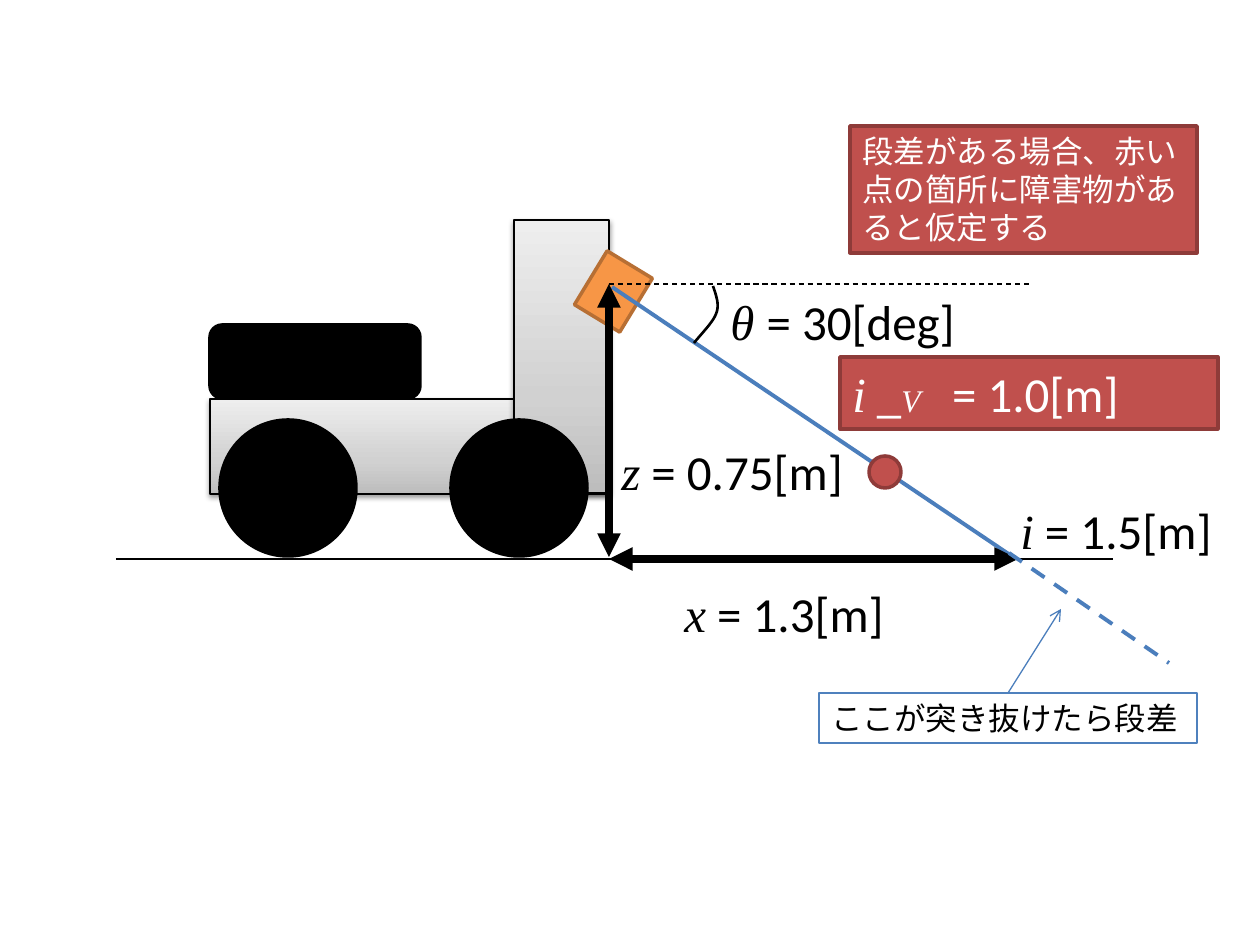
"""Draw a wheeled robot whose tilted range sensor detects a step in the floor."""
from copy import deepcopy

from pptx import Presentation
from pptx.dml.color import RGBColor
from pptx.enum.dml import MSO_LINE_DASH_STYLE as Dash
from pptx.enum.shapes import MSO_CONNECTOR as Connector, MSO_SHAPE as Preset
from pptx.enum.text import MSO_ANCHOR as Anchor, MSO_AUTO_SIZE as AutoSize, PP_ALIGN as Align
from pptx.oxml import parse_xml
from pptx.oxml.ns import nsdecls, qn
from pptx.util import Inches, Pt

PX = Inches(1) / 126
BLACK, WHITE = RGBColor(0, 0, 0), RGBColor(255, 255, 255)
RED, DARK_RED = RGBColor(0xC0, 0x50, 0x4D), RGBColor(0x8E, 0x3B, 0x39)
ORANGE, BROWN = RGBColor(0xF7, 0x96, 0x46), RGBColor(0xB7, 0x6F, 0x34)
BLUE, BORDER_BLUE = RGBColor(0x4B, 0x7E, 0xBC), RGBColor(0x4F, 0x81, 0xBD)
GREYS = [(0, RGBColor(0xBD, 0xBD, 0xBD)), (0.35, RGBColor(0xD1, 0xD1, 0xD1)),
         (1, RGBColor(0xEE, 0xEE, 0xEE))]
SANS, SERIF = "Calibri", "Times New Roman"

CHASSIS = [(210, 399, 399, 95), (514, 220, 95, 273)]
PARTS = [
    (Preset.OVAL, (220, 420, 136, 136), BLACK, BLACK, 0),
    (Preset.OVAL, (451, 420, 136, 136), BLACK, BLACK, 0),
    (Preset.RECTANGLE, (582, 265, 63, 53), ORANGE, BROWN, 301.3),
    (Preset.ROUNDED_RECTANGLE, (210, 325, 210, 73), BLACK, BLACK, 0),
]
LINES = [
    ((612, 287), (1016, 559), BLUE, 2.25, None, None, None),
    ((609, 284), (1033, 284), BLACK, 0.75, Dash.DASH, None, None),
    ((116, 559), (1113, 559), BLACK, 0.75, None, None, None),
    ((609, 557), (609, 284), BLACK, 4.5, None, "triangle", "triangle"),
    ((609, 559), (1018, 559), BLACK, 4.5, None, "triangle", "triangle"),
    ((1008, 693), (1061, 609), BLUE, 0.75, None, None, "arrow"),
    ((1009, 553), (1169, 663), BLUE, 2.25, Dash.DASH, None, None),
]
ANGLE_CURVES = [
    [(713, 286), (716, 295), (720, 305), (716, 314)],
    [(716, 314), (713, 322), (703, 332), (694, 343)],
]
LABELS = [
    ((718, 285, 280, 72), "θ ", "= 30[deg]"),
    ((609, 435, 252, 72), "z", " = 0.75[m]"),
    ((1008, 494, 252, 72), "i", " = 1.5[m]"),
    ((672, 577, 252, 72), "x", " = 1.3[m]"),
]
OBSTACLE = (Preset.OVAL, (869, 456, 32, 32), RED, DARK_RED, 0)
NOTES = [
    ((840, 357, 378, 72), RED, DARK_RED, 2, WHITE,
     [("i", 28, SERIF), (" _", 28, SANS), ("V\u3000", 18, SERIF), ("= 1.0[m]", 28, SANS)]),
    ((850, 126, 347, 127), RED, DARK_RED, 2, WHITE,
     [("段差がある場合、赤い点の箇所に障害物があると仮定する", 18, SANS)]),
    ((819, 693, 378, 50), None, BORDER_BLUE, 0.75, BLACK,
     [("ここが突き抜けたら段差", 18, SANS)]),
]


def emu(lengths):
    return [round(length * PX) for length in lengths]


def style(shape, fill, line, width):
    shape.shadow.inherit = False
    if fill is None:
        shape.fill.background()
    else:
        shape.fill.solid()
        shape.fill.fore_color.rgb = fill
    shape.line.color.rgb = line
    shape.line.width = Pt(width)


def add_part(page, preset, place, fill, line, turn=0, width=2):
    shape = page.shapes.add_shape(preset, *emu(place))
    shape.rotation = turn
    style(shape, fill, line, width)
    return shape


def add_chassis(page, place):
    shape = add_part(page, Preset.RECTANGLE, place, WHITE, BLACK, width=0.75)
    shape.fill.gradient()
    shape.fill.gradient_angle = 90
    props = shape.element.spPr
    stop_list = props.find(".//" + qn("a:gsLst"))
    stop_list.insert(1, deepcopy(stop_list[0]))
    for stop, (position, grey) in zip(shape.fill.gradient_stops, GREYS):
        stop.position = position
        stop.color.rgb = grey
    props.find(qn("a:effectLst")).append(parse_xml(
        f'<a:outerShdw {nsdecls("a")} blurRad="{Pt(3.1)}" dist="{Pt(1.6)}" dir="5400000" '
        'rotWithShape="0"><a:srgbClr val="000000"><a:alpha val="38000"/></a:srgbClr>'
        '</a:outerShdw>'))


def add_line(page, start, end, colour, width, dash, head, tail):
    line = page.shapes.add_connector(Connector.STRAIGHT, *emu(start + end))
    line.line.color.rgb = colour
    line.line.width = Pt(width)
    if dash:
        line.line.dash_style = dash
    props = line.element.spPr
    for tag, kind in (("headEnd", head), ("tailEnd", tail)):
        if kind:
            props.find(qn("a:ln")).append(parse_xml(f'<a:{tag} {nsdecls("a")} type="{kind}"/>'))
    props.append(parse_xml(f'<a:effectLst {nsdecls("a")}/>'))


def curve_points(curve, steps=12):
    for step in range(steps + 1):
        t = step / steps
        weights = [(1 - t) ** 3, 3 * t * (1 - t) ** 2, 3 * t ** 2 * (1 - t), t ** 3]
        yield emu(sum(w * v for w, v in zip(weights, axis)) for axis in zip(*curve))


def add_angle(page):
    points = [point for curve in ANGLE_CURVES for point in curve_points(curve)]
    builder = page.shapes.build_freeform(*points[0])
    builder.add_line_segments(points[1:], close=False)
    style(builder.convert_to_shape(), None, BLACK, 1.5)


def write(box, spans, colour):
    frame = box.text_frame
    frame.word_wrap = True
    frame.auto_size = AutoSize.SHAPE_TO_FIT_TEXT
    frame.vertical_anchor = Anchor.TOP
    para = frame.paragraphs[0]
    para.alignment = Align.LEFT
    para.font.color.rgb = colour
    for text, size, face in spans:
        span = para.add_run()
        span.text = text
        span.font.size = Pt(size)
        span.font.name = face
        span.font.italic = face == SERIF
        span.font.color.rgb = colour


def main():
    deck = Presentation()
    deck.slide_width, deck.slide_height = Inches(10), Inches(7.5)
    page = deck.slides.add_slide(deck.slide_layouts[6])
    for place in CHASSIS:
        add_chassis(page, place)
    for part in PARTS:
        add_part(page, *part)
    for line in LINES:
        add_line(page, *line)
    add_angle(page)
    for place, symbol, value in LABELS:
        box = page.shapes.add_textbox(*emu(place))
        write(box, [(symbol, 28, SERIF), (value, 28, SANS)], BLACK)
    add_part(page, *OBSTACLE)
    for place, fill, line, width, colour, spans in NOTES:
        write(add_part(page, Preset.RECTANGLE, place, fill, line, width=width), spans, colour)
    deck.save("out.pptx")


if __name__ == "__main__":
    main()
